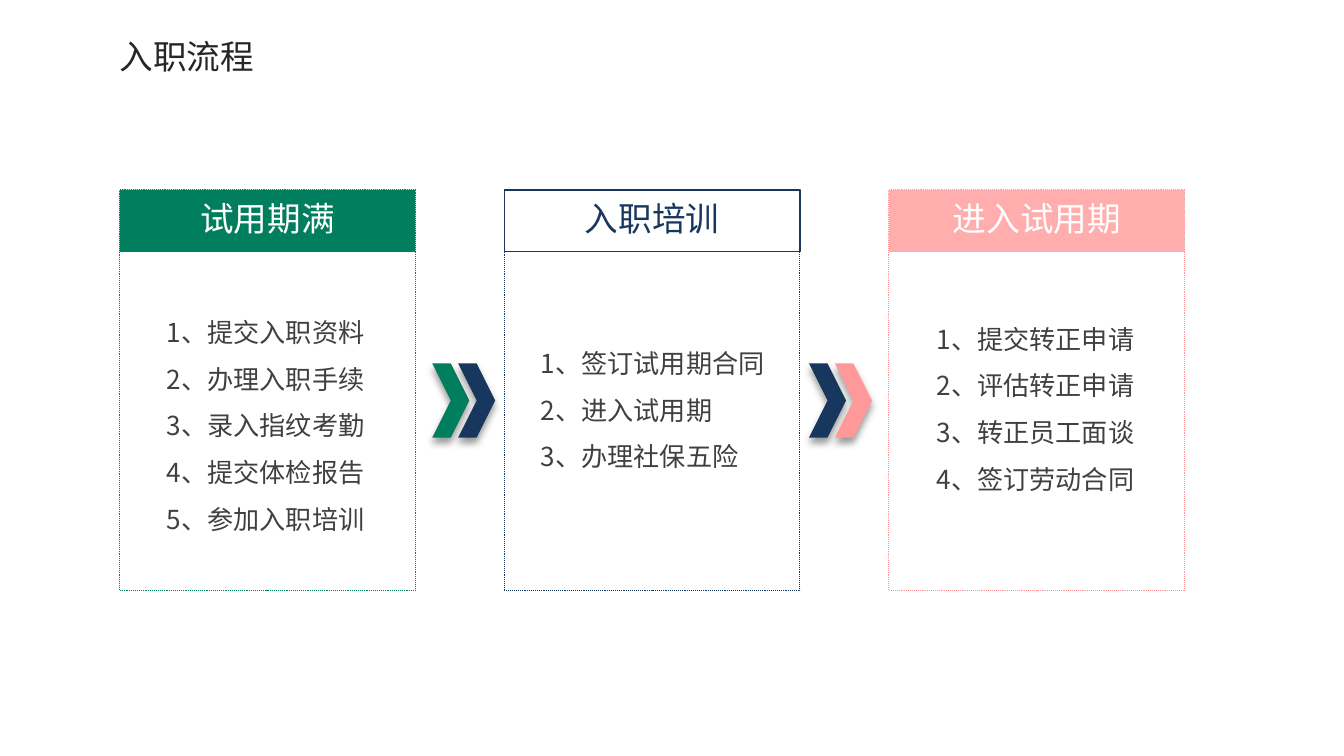
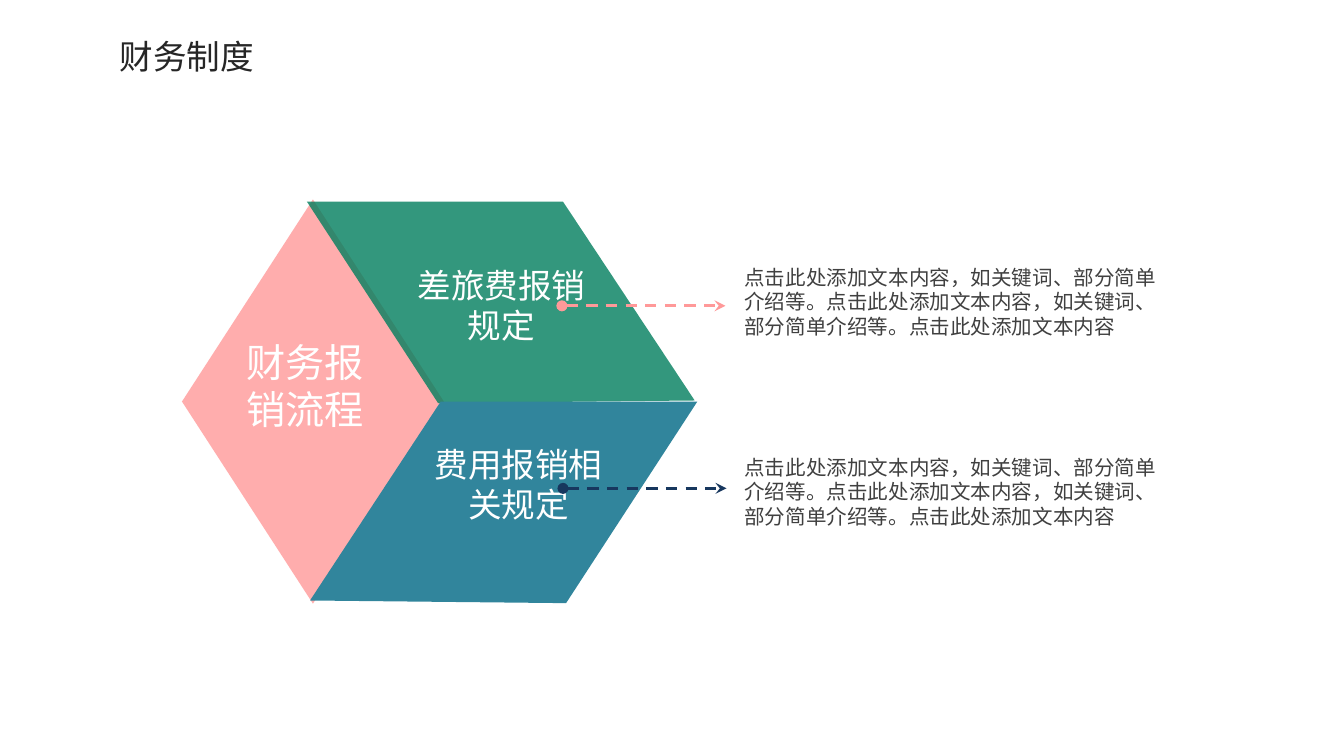
from lxml import etree
from pptx import Presentation
from pptx.dml.color import RGBColor
from pptx.enum import dml, shapes, text
from pptx.oxml.ns import qn
from pptx.util import Cm, Pt

# Shared style
FONT = "Noto Sans CJK SC"
GREEN, NAVY, PINK, TEAL = "007E5D", "17375E", "FF9999", "31859C"
WHITE, INK, GREY = "FFFFFF", "262626", "404040"
LINE_HEIGHT = 1.19
LEFT, CENTER = text.PP_ALIGN.LEFT, text.PP_ALIGN.CENTER
TIGHT = (0.18, 0.1)
NORMAL = (0.25, 0.13)

# Slide 1: heading, colour, list box (left, top, width), items
STEPS = [
    ("试用期满", GREEN, (2.9, 5.56, 4.55),
     ["提交入职资料", "办理入职手续", "录入指纹考勤", "提交体检报告", "参加入职培训"]),
    ("入职培训", NAVY, (9.97, 6.15, 5.59),
     ["签订试用期合同", "进入试用期", "办理社保五险"]),
    ("进入试用期", PINK, (17.45, 5.69, 5.46),
     ["提交转正申请", "评估转正申请", "转正员工面谈", "签订劳动合同"]),
]
CARD_LEFT, CARD_TOP, CARD_STEP = 2.26, 3.59, 7.27
CARD_WIDTH, CARD_HEIGHT, HEADER_HEIGHT = 5.59, 7.57, 1.17
CHEVRON_PAIRS = [(8.17, GREEN, NAVY), (15.29, NAVY, PINK)]
CHEVRON_STEP = 0.49

# Slide 2: cube faces, their labels, arrows and descriptions
FACES = [
    ([(13.13, 7.57), (8.28, 7.62), (5.8, 3.81), (10.64, 3.81)], GREEN, 80),
    ([(5.86, 11.35), (10.7, 11.4), (13.18, 7.59), (8.33, 7.59)], TEAL, 100),
]
LABELS = [
    ("财务报销流程", (4.48, 6.3, 2.77, 1.98), 21, LEFT),
    ("差旅费报销规定", (7.69, 4.91, 3.58, 1.73), 18, CENTER),
    ("费用报销相关规定", (7.97, 8.29, 3.66, 1.73), 18, CENTER),
]
DESCRIPTION = ("点击此处添加文本内容，如关键词、部分简单介绍等。"
               "点击此处添加文本内容，如关键词、部分简单介绍等。点击此处添加文本内容")
NOTES = [(PINK, 10.62, 5.78, 4.91), (NAVY, 10.64, 9.23, 8.5)]
ARROW_LENGTH = 3.09


def color(hex_string):
    return RGBColor.from_string(hex_string)


def add_xml(parent, tag, **attributes):
    return etree.SubElement(parent, qn(tag), attributes)


def write(shape, lines, size, hex_color, align=LEFT, spacing=None, insets=NORMAL,
          anchor=text.MSO_ANCHOR.TOP, wrap=True):
    frame = shape.text_frame
    frame.text = "\n".join(lines)
    frame.word_wrap = wrap
    frame.vertical_anchor = anchor
    frame.margin_left = frame.margin_right = Cm(insets[0])
    frame.margin_top = frame.margin_bottom = Cm(insets[1])
    for paragraph in frame.paragraphs:
        paragraph.alignment = align
        if spacing:
            paragraph.line_spacing = spacing
        font = paragraph.font
        font.name, font.size, font.bold = FONT, Pt(size), False
        font.color.rgb = color(hex_color)
        properties = paragraph._p.pPr.find(qn("a:defRPr"))
        add_xml(properties, "a:ea", typeface=FONT)


def text_box(slide, box, lines, size, hex_color, spacing=1.0, **options):
    shape = slide.shapes.add_textbox(*map(Cm, box))
    write(shape, lines, size, hex_color, spacing=Pt(size * LINE_HEIGHT * spacing), **options)


def paint(shape, fill=None, opacity=100, line=None, width=0.5, dash=None):
    shape.shadow.inherit = False
    if fill:
        shape.fill.solid()
        shape.fill.fore_color.rgb = color(fill)
        if opacity < 100:
            solid = shape._element.spPr.find(qn("a:solidFill"))
            add_xml(solid[0], "a:alpha", val=str(opacity * 1000))
    else:
        shape.fill.background()
    if line:
        shape.line.color.rgb = color(line)
        shape.line.width = Pt(width)
        if dash:
            shape.line.dash_style = dash
    else:
        shape.line.fill.background()


def preset(slide, kind, box, **style):
    shape = slide.shapes.add_shape(kind, *map(Cm, box))
    paint(shape, **style)
    return shape


def titled_slide(presentation, title):
    slide = presentation.slides.add_slide(presentation.slide_layouts[5])
    shape = slide.shapes.title
    shape.left, shape.top, shape.width, shape.height = map(Cm, (2.01, 0.55, 3.07, 1.02))
    write(shape, [title], 18, INK, spacing=Pt(18 * LINE_HEIGHT), wrap=False)
    shape.text_frame.auto_size = text.MSO_AUTO_SIZE.SHAPE_TO_FIT_TEXT
    return slide


def add_chevron(slide, left, fill):
    shape = preset(slide, shapes.MSO_SHAPE.CHEVRON, (left, 6.87, 0.7, 1.4), fill=fill)
    effects = shape._element.spPr.find(qn("a:effectLst"))
    shadow = add_xml(effects, "a:outerShdw", blurRad=str(Pt(4)), dist=str(Pt(3)),
                     dir="5400000", rotWithShape="0")
    black = add_xml(shadow, "a:srgbClr", val="000000")
    add_xml(black, "a:alpha", val="40000")


def add_arrow(slide, left, top, hex_color):
    arrow = slide.shapes.add_connector(shapes.MSO_CONNECTOR.STRAIGHT, Cm(left), Cm(top),
                                       Cm(left + ARROW_LENGTH), Cm(top))
    arrow.line.color.rgb = color(hex_color)
    arrow.line.width = Pt(1.5)
    arrow.line.dash_style = dml.MSO_LINE.DASH
    properties = arrow._element.spPr
    outline = properties.find(qn("a:ln"))
    add_xml(outline, "a:headEnd", type="oval")
    add_xml(outline, "a:tailEnd", type="stealth")
    add_xml(properties, "a:effectLst")


def build_onboarding(presentation):
    slide = titled_slide(presentation, "入职流程")
    rectangle = shapes.MSO_SHAPE.RECTANGLE

    # Cards with a heading band and a numbered list
    for index, (heading, accent, (left, top, width), items) in enumerate(STEPS):
        card_left = CARD_LEFT + index * CARD_STEP
        preset(slide, rectangle, (card_left, CARD_TOP, CARD_WIDTH, CARD_HEIGHT),
               line=accent, dash=dml.MSO_LINE.ROUND_DOT)
        outlined = accent == NAVY
        style = (dict(line=accent, width=0.75) if outlined
                 else dict(fill=accent, opacity=80 if accent == PINK else 100))
        header = preset(slide, rectangle, (card_left, CARD_TOP, CARD_WIDTH, HEADER_HEIGHT), **style)
        write(header, [heading], 18, accent if outlined else WHITE, CENTER,
              spacing=0.9, anchor=text.MSO_ANCHOR.MIDDLE)
        lines = [f"{number}、{item}" for number, item in enumerate(items, 1)]
        text_box(slide, (left, top, width, 0.89 * len(items) + 0.25), lines, 14, GREY, spacing=1.5)

    # Double chevrons between the cards
    for left, first, second in CHEVRON_PAIRS:
        add_chevron(slide, left, first)
        add_chevron(slide, left + CHEVRON_STEP, second)


def build_finance(presentation):
    slide = titled_slide(presentation, "财务制度")

    # Cube faces
    preset(slide, shapes.MSO_SHAPE.FLOWCHART_DECISION, (3.44, 3.77, 4.95, 7.64),
           fill=PINK, opacity=80)
    for points, fill, opacity in FACES:
        start, *rest = [(Cm(x), Cm(y)) for x, y in points]
        builder = slide.shapes.build_freeform(*start)
        builder.add_line_segments(rest, close=True)
        paint(builder.convert_to_shape(), fill=fill, opacity=opacity)

    # Face labels
    for label, box, size, align in LABELS:
        text_box(slide, box, [label], size, WHITE, align=align, insets=TIGHT)

    # Arrows and descriptions
    for accent, left, arrow_top, text_top in NOTES:
        add_arrow(slide, left, arrow_top, accent)
        text_box(slide, (13.89, text_top, 8.46, 2.08), [DESCRIPTION], 11, GREY, insets=TIGHT)


def main():
    presentation = Presentation()
    presentation.slide_width = Cm(25.4)
    presentation.slide_height = presentation.slide_width * 9 // 16
    build_onboarding(presentation)
    build_finance(presentation)
    presentation.save("out.pptx")


if __name__ == "__main__":
    main()
